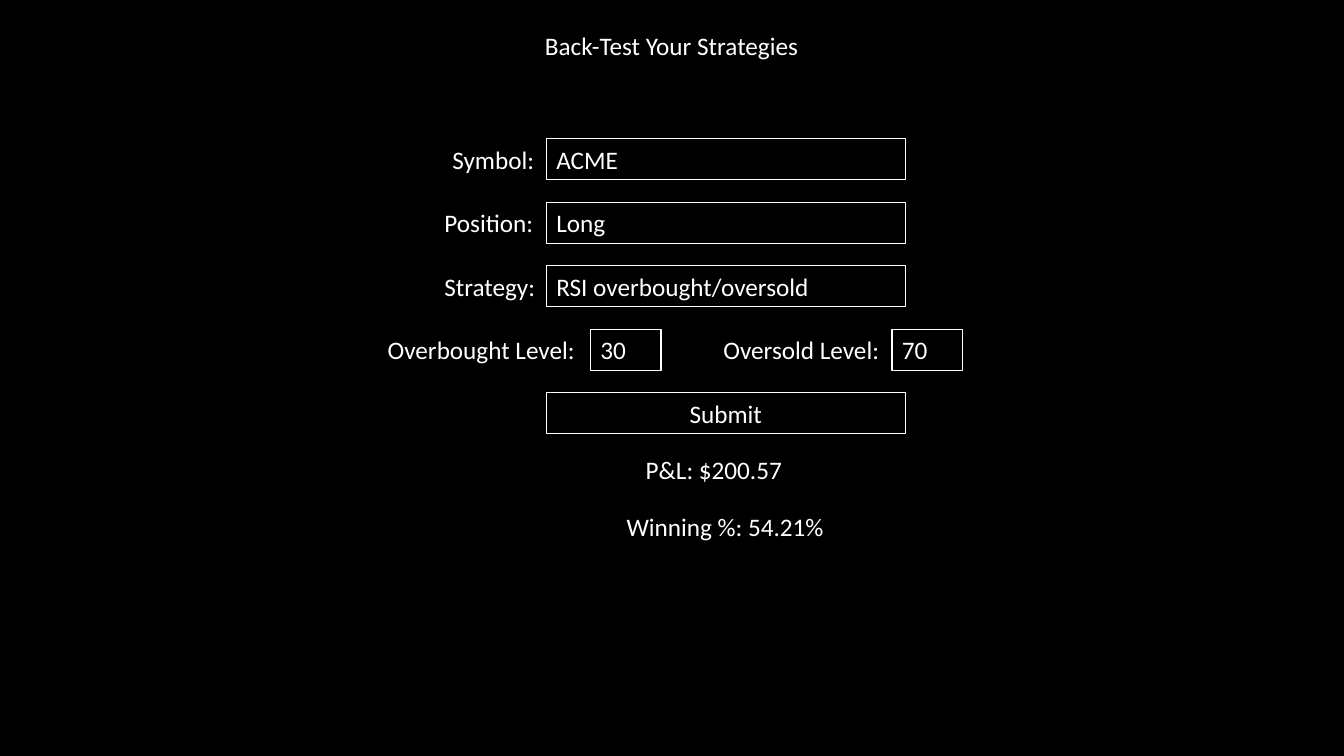
from dataclasses import dataclass

from pptx import Presentation
from pptx.dml.color import RGBColor
from pptx.enum.shapes import MSO_SHAPE
from pptx.enum.text import MSO_ANCHOR, MSO_AUTO_SIZE, PP_ALIGN
from pptx.slide import Slide
from pptx.util import Cm, Pt

RECT = MSO_SHAPE.RECTANGLE
TOP = MSO_ANCHOR.TOP
GROW = MSO_AUTO_SIZE.SHAPE_TO_FIT_TEXT
LEFT, MID = PP_ALIGN.LEFT, PP_ALIGN.CENTER

COLORS = {"back": "000000", "front": "FFFFFF"}
FONT, SIZE = "Calibri", 18
HIGH = 1.03
FORM_X, FORM_W = 13.77, 9.04
LEVEL_W = 1.78
ROWS = [3.5 + 1.6 * row for row in range(5)]


@dataclass
class Item:
    """One line of text, with lengths in centimetres."""
    text: str
    left: float
    top: float
    width: float
    align: PP_ALIGN = LEFT
    framed: bool = False


ITEMS = [
    Item("Back-Test Your Strategies", 12.19, 0.64, 9.47, MID),
    Item("Symbol:", 11.15, ROWS[0], 2.62),
    Item("ACME", FORM_X, ROWS[0], FORM_W, framed=True),
    Item("Position:", 10.95, ROWS[1], 2.82),
    Item("Long", FORM_X, ROWS[1], FORM_W, framed=True),
    Item("Strategy:", 10.95, ROWS[2], 2.82),
    Item("RSI overbought/oversold", FORM_X, ROWS[2], FORM_W, framed=True),
    Item("Overbought Level:", 9.52, ROWS[3], 5.36),
    Item("30", 14.88, ROWS[3], LEVEL_W, framed=True),
    Item("Oversold Level:", 17.98, ROWS[3], 4.52),
    Item("70", 22.48, ROWS[3], LEVEL_W, framed=True),
    Item("Submit", FORM_X, ROWS[4], FORM_W, MID, framed=True),
    Item("P&L: $200.57", 15.6, 11.33, 4.78, MID),
    Item("Winning %: 54.21%", 15.19, 12.75, 6.17, MID),
]


def color(name: str) -> RGBColor:
    return RGBColor.from_string(COLORS[name])


def draw(slide: Slide, item: Item) -> None:
    """Add a framed field, or a plain text box, for the item."""
    place = Cm(item.left), Cm(item.top), Cm(item.width), Cm(HIGH)
    if item.framed:
        shape = slide.shapes.add_shape(RECT, *place)
        shape.shadow.inherit = False
        shape.fill.background()
        shape.line.color.rgb = color("front")
        shape.line.width = Pt(0.75)
    else:
        shape = slide.shapes.add_textbox(*place)
    frame = shape.text_frame
    frame.word_wrap = True
    frame.auto_size = GROW
    frame.vertical_anchor = TOP
    para = frame.paragraphs[0]
    para.alignment = item.align
    run = para.add_run()
    run.text = item.text
    run.font.name = FONT
    run.font.size = Pt(SIZE)
    run.font.color.rgb = color("front")


def main() -> None:
    deck = Presentation()
    deck.slide_width, deck.slide_height = Cm(33.87), Cm(19.05)
    slide = deck.slides.add_slide(deck.slide_layouts[6])
    slide.background.fill.solid()
    slide.background.fill.fore_color.rgb = color("back")
    for item in ITEMS:
        draw(slide, item)
    deck.save("out.pptx")


if __name__ == "__main__":
    main()
